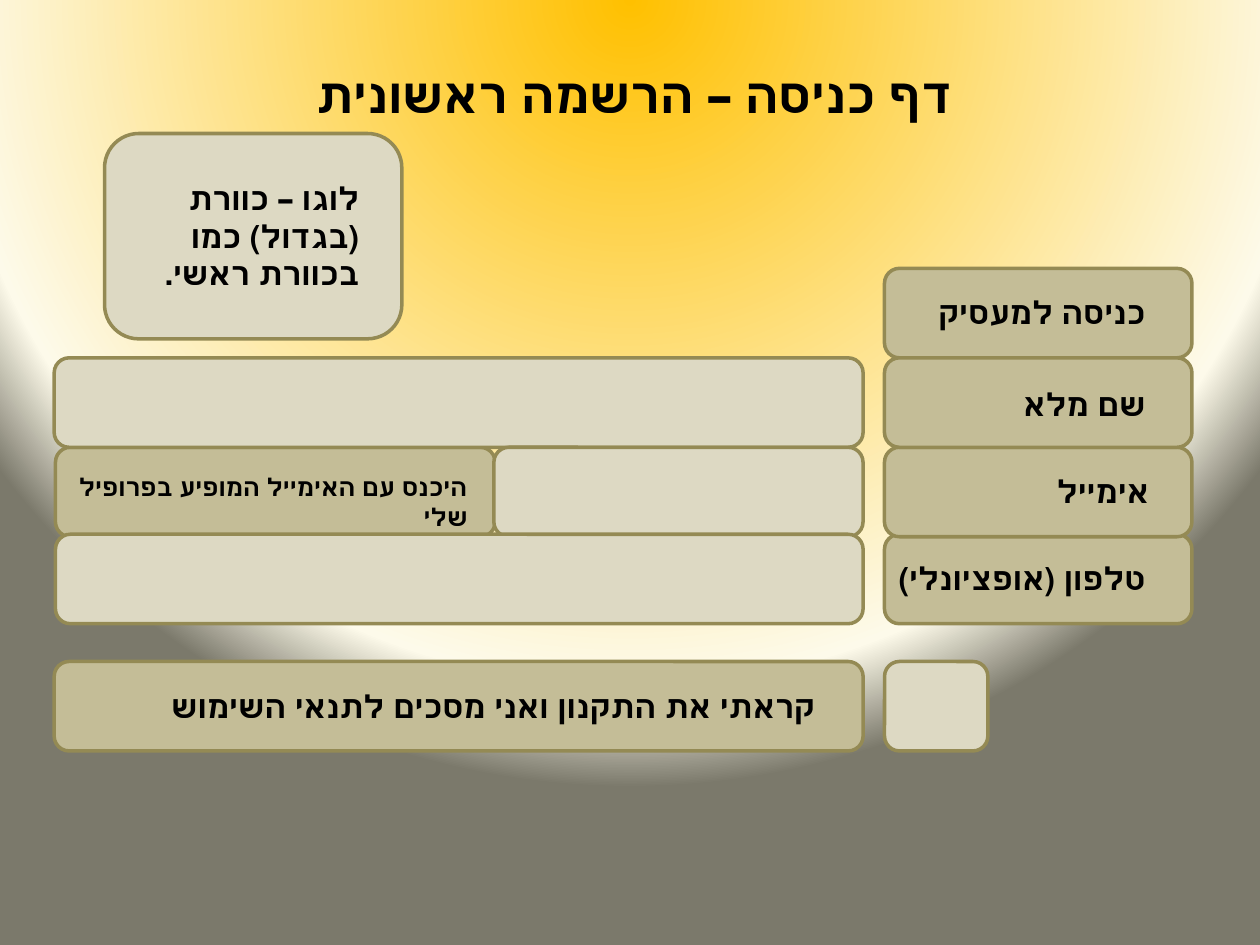
from pptx import Presentation
from pptx.dml.color import RGBColor as RGB
from pptx.enum.shapes import MSO_SHAPE as SHAPE
from pptx.enum.text import PP_ALIGN as ALIGN
from pptx.oxml import parse_xml
from pptx.oxml.ns import qn
from pptx.util import Inches, Pt

COLORS = {"label": "C4BD97", "field": "DDD9C3", "edge": "948A54", "text": "000000"}
GLOW = [(0, "FFC000"), (87, "FDFAEA"), (100, "7B796B")]

ROW = 0.71
NAME, MAIL, PHONE, TERMS = 2.84, 3.55, 4.24, 5.25
LEFT, RIGHT = 0.43, 7.02
WIDE, SIDE = 6.42, 2.44

# fill, left, top, width, height
BOXES = [
    ("label", RIGHT, PHONE, SIDE, ROW),
    ("label", RIGHT, MAIL, SIDE, ROW),
    ("label", RIGHT, NAME - ROW, SIDE, ROW),
    ("label", RIGHT, NAME, SIDE, ROW),
    ("label", 0.44, MAIL, 3.49, ROW),
    ("field", LEFT, NAME, WIDE, ROW),
    ("field", 3.92, MAIL, 2.93, ROW),
    ("field", 0.44, PHONE, 6.41, ROW),
    ("label", LEFT, TERMS, WIDE, ROW),
    ("field", RIGHT, TERMS, 0.82, ROW),
    ("field", 0.83, 1.06, 2.36, 1.63),
]

# text, left, top, width, height, size
TEXTS = [
    ("כניסה למעסיק", 7.3, 2.28, 1.89, 0.4, 18),
    ("שם מלא", 7.3, 3.01, 1.89, 0.4, 18),
    ("אימייל", 7.33, 3.7, 1.89, 0.4, 18),
    ("טלפון (אופציונלי)", 7.02, 4.39, 2.17, 0.4, 18),
    ("היכנס עם האימייל המופיע בפרופיל שלי", 0.44, 3.7, 3.37, 0.34, 14),
    ("קראתי את התקנון ואני מסכים לתנאי השימוש", 0.59, 5.4, 5.98, 0.4, 18),
    ("לוגו – כוורת (בגדול) כמו בכוורת ראשי.", 1.06, 1.37, 1.89, 1.01, 18),
]


def add_glow(slide):
    """Fill the background with a round gradient centred above the slide."""
    slide.background.fill.solid()
    old = slide.element.find(".//" + qn("p:bgPr")).find(qn("a:solidFill"))
    stops = "".join(
        f'<a:gs pos="{pos * 1000}"><a:srgbClr val="{color}"/></a:gs>'
        for pos, color in GLOW
    )
    grad = parse_xml(
        '<a:gradFill xmlns:a="http://schemas.openxmlformats.org/drawingml/2006/main"'
        f' rotWithShape="1"><a:gsLst>{stops}</a:gsLst><a:path path="circle">'
        '<a:fillToRect l="50000" t="-80000" r="50000" b="180000"/>'
        "</a:path></a:gradFill>"
    )
    old.getparent().replace(old, grad)


def add_box(slide, fill, *place):
    """Draw one rounded box."""
    box = slide.shapes.add_shape(SHAPE.ROUNDED_RECTANGLE, *map(Inches, place))
    box.shadow.inherit = False
    box.fill.solid()
    box.fill.fore_color.rgb = RGB.from_string(COLORS[fill])
    box.line.color.rgb = RGB.from_string(COLORS["edge"])
    box.line.width = Pt(2)


def add_text(slide, text, *place, size=18, face="Calibri", align=ALIGN.RIGHT):
    """Write one bold right-to-left text."""
    frame = slide.shapes.add_textbox(*map(Inches, place)).text_frame
    frame.word_wrap = True
    para = frame.paragraphs[0]
    para.text = text
    para.alignment = align
    para._p.get_or_add_pPr().set("rtl", "1")
    font = para.runs[0].font
    font.size = Pt(size)
    font.bold = True
    font.name = face
    font.color.rgb = RGB.from_string(COLORS["text"])


deck = Presentation()
deck.slide_width, deck.slide_height = Inches(10), Inches(7.5)
slide = deck.slides.add_slide(deck.slide_layouts[6])

add_glow(slide)
add_text(slide, "דף כניסה – הרשמה ראשונית", 2.24, 0.46, 5.59, 0.57,
         size=28, face="Lato", align=ALIGN.CENTER)
for box in BOXES:
    add_box(slide, *box)
for *item, size in TEXTS:
    add_text(slide, *item, size=size)

deck.save("out.pptx")
